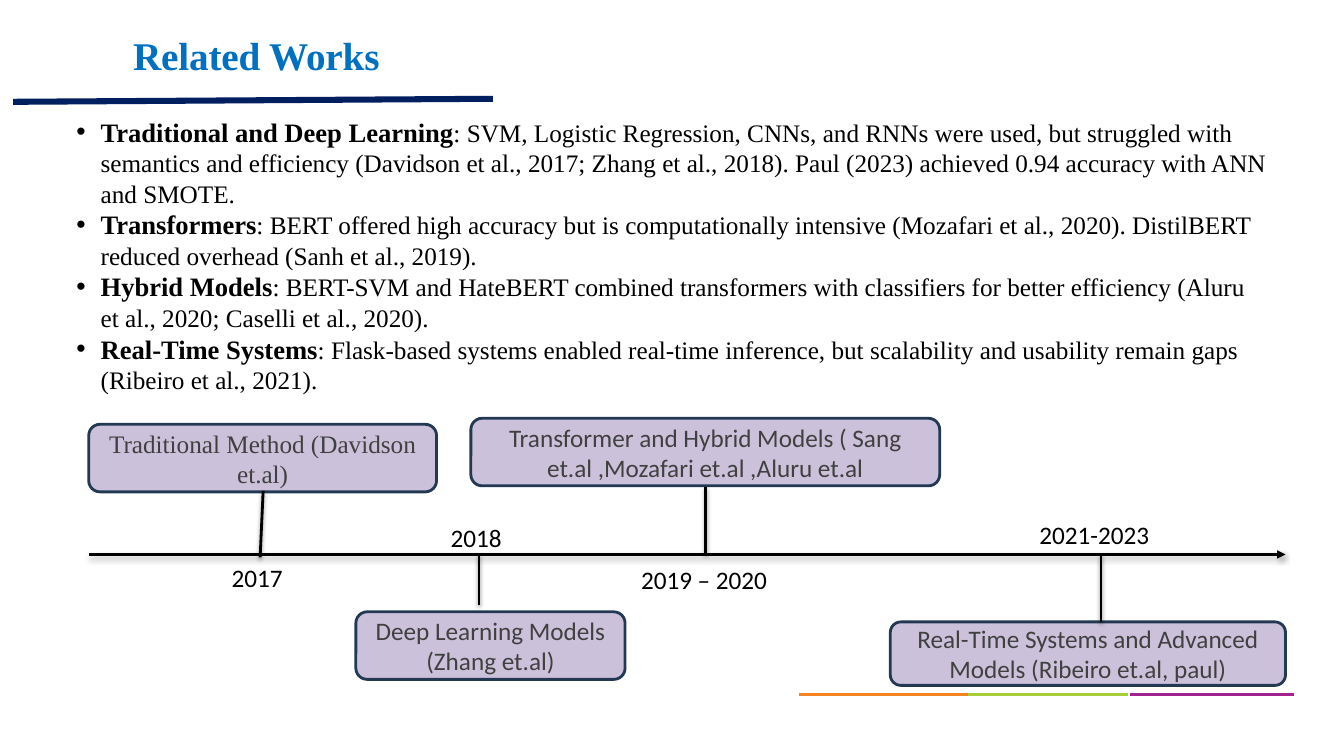
from lxml import etree
from pptx import Presentation
from pptx.dml.color import RGBColor
from pptx.enum.shapes import MSO_CONNECTOR, MSO_SHAPE
from pptx.enum.text import MSO_ANCHOR, PP_ALIGN
from pptx.oxml.ns import qn
from pptx.util import Inches, Pt

STRAIGHT = MSO_CONNECTOR.STRAIGHT
ROUNDED = MSO_SHAPE.ROUNDED_RECTANGLE
TOP, MIDDLE = MSO_ANCHOR.TOP, MSO_ANCHOR.MIDDLE
LEFT, CENTER = PP_ALIGN.LEFT, PP_ALIGN.CENTER
SERIF, SANS = "Times New Roman", "Calibri"

TITLE = "Related Works"
FINDINGS = [
    ("Traditional and Deep Learning",
     ": SVM, Logistic Regression, CNNs, and RNNs were used, but struggled with semantics and "
     "efficiency (Davidson et al., 2017; Zhang et al., 2018). Paul (2023) achieved 0.94 accuracy "
     "with ANN and SMOTE."),
    ("Transformers",
     ": BERT offered high accuracy but is computationally intensive (Mozafari et al., 2020). "
     "DistilBERT reduced overhead (Sanh et al., 2019)."),
    ("Hybrid Models",
     ": BERT-SVM and HateBERT combined transformers with classifiers for better efficiency "
     "(Aluru et al., 2020; Caselli et al., 2020)."),
    ("Real-Time Systems",
     ": Flask-based systems enabled real-time inference, but scalability and usability remain "
     "gaps (Ribeiro et al., 2021)."),
]
AXIS_LEFT, AXIS_RIGHT, AXIS_Y = 0.88, 12.75, 5.5
MILESTONES = [
    {"text": "Traditional Method (Davidson et.al)", "font": SERIF,
     "box": (0.88, 4.21, 3.45, 0.67), "stem": (2.61, 4.87, 2.58, 5.53),
     "year": "2017", "year_box": (2.2, 5.53, 0.76, 0.4)},
    {"text": "Deep Learning Models (Zhang et.al)", "font": SANS,
     "box": (3.53, 6.07, 2.67, 0.67), "stem": (4.75, AXIS_Y, 4.75, 6),
     "year": "2018", "year_box": (4.37, 5.13, 0.76, 0.4)},
    {"text": "Real-Time Systems and Advanced Models (Ribeiro et.al, paul)", "font": SANS,
     "box": (8.83, 6.17, 3.92, 0.63), "stem": (10.92, AXIS_Y, 10.92, 6.17),
     "year": "2021-2023", "year_box": (10.21, 5.1, 1.41, 0.4)},
    {"text": "Transformer and Hybrid Models ( Sang et.al ,Mozafari et.al ,Aluru et.al", "font": SANS,
     "box": (4.67, 4.15, 4.65, 0.67), "stem": (7, 4.83, 7, AXIS_Y),
     "year": "2019 – 2020", "year_box": (6.26, 5.55, 1.6, 0.4)},
]
FOOTER_BARS = [(11.21, 1.62, "A3228F"), (9.51, 1.68, "A7CE39"), (7.92, 1.68, "F58220")]
FOOTER_TOP, FOOTER_BOTTOM = 6.88, 6.91
TITLE_RULE = [(0.13, 1.04), (0.13, 0.98), (4.89, 0.95), (4.89, 1.01)]

presentation = Presentation()
presentation.slide_width = Inches(13.33)
presentation.slide_height = Inches(7.5)
slide = presentation.slides.add_slide(presentation.slide_layouts[6])


def color(value):
    return RGBColor.from_string(value)


def add_run(paragraph, text, size=18, font=SANS, fill="000000", bold=False):
    run = paragraph.add_run()
    run.text = text
    run.font.size = Pt(size)
    run.font.name = font
    run.font.bold = bold
    run.font.color.rgb = color(fill)
    return run


def add_text_box(box, wrap=True, margin=None):
    frame = slide.shapes.add_textbox(*map(Inches, box)).text_frame
    frame.word_wrap = wrap
    frame.vertical_anchor = TOP
    if margin is not None:
        frame.margin_left = frame.margin_right = Inches(margin)
        frame.margin_top = frame.margin_bottom = Inches(margin)
    return frame


def add_polygon(points, fill):
    corners = [(Inches(x), Inches(y)) for x, y in points]
    builder = slide.shapes.build_freeform(*corners[0])
    builder.add_line_segments(corners[1:], close=True)
    shape = builder.convert_to_shape()
    shape.shadow.inherit = False
    shape.fill.solid()
    shape.fill.fore_color.rgb = color(fill)
    shape.line.fill.background()


def add_line(ends, arrow=False):
    line = slide.shapes.add_connector(STRAIGHT, *map(Inches, ends))
    line.line.color.rgb = color("000000")
    line.line.width = Pt(2)
    properties = line._element.spPr
    if arrow:
        etree.SubElement(properties.find(qn("a:ln")), qn("a:tailEnd"), type="triangle")
    effects = etree.SubElement(properties, qn("a:effectLst"))
    shadow = etree.SubElement(effects, qn("a:outerShdw"), blurRad=str(Pt(3.1)),
                              dist=str(Pt(1.6)), dir="5400000", rotWithShape="0")
    shade = etree.SubElement(shadow, qn("a:srgbClr"), val="000000")
    etree.SubElement(shade, qn("a:alpha"), val="38000")


def add_bullet(paragraph, indent):
    properties = paragraph._p.get_or_add_pPr()
    properties.set("marL", str(Inches(indent)))
    properties.set("indent", str(-Inches(indent)))
    etree.SubElement(properties, qn("a:buFont"), typeface="Arial")
    etree.SubElement(properties, qn("a:buChar"), char="•")


def add_milestone_box(text, box, font):
    shape = slide.shapes.add_shape(ROUNDED, *map(Inches, box))
    shape.shadow.inherit = False
    shape.fill.solid()
    shape.fill.fore_color.rgb = color("CCC1DA")
    shape.line.color.rgb = color("233953")
    shape.line.width = Pt(2)
    frame = shape.text_frame
    frame.word_wrap = True
    frame.vertical_anchor = MIDDLE
    paragraph = frame.paragraphs[0]
    paragraph.alignment = CENTER
    add_run(paragraph, text, font=font, fill="404040")


for left, width, fill in FOOTER_BARS:
    right = left + width
    add_polygon([(right, FOOTER_BOTTOM), (left, FOOTER_BOTTOM),
                 (left, FOOTER_TOP), (right, FOOTER_TOP)], fill)
add_polygon(TITLE_RULE, "001F5F")

title_frame = add_text_box((1.32, 0.31, 9.75, 0.94), margin=0)
title_run = add_run(title_frame.paragraphs[0], TITLE, size=28, font=SERIF, fill="0070C0", bold=True)
title_run.font._element.set("spc", "-10")

findings_frame = add_text_box((0.66, 1.1, 12.01, 3.2))
for index, (topic, finding) in enumerate(FINDINGS):
    paragraph = findings_frame.add_paragraph() if index else findings_frame.paragraphs[0]
    paragraph.alignment = LEFT
    add_bullet(paragraph, 0.24)
    add_run(paragraph, topic, size=19, font=SERIF, bold=True)
    add_run(paragraph, finding, font=SERIF)

add_line((AXIS_LEFT, AXIS_Y, AXIS_RIGHT, AXIS_Y), arrow=True)
for milestone in MILESTONES:
    add_milestone_box(milestone["text"], milestone["box"], milestone["font"])
for milestone in MILESTONES:
    add_line(milestone["stem"])
    year_frame = add_text_box(milestone["year_box"], wrap=False)
    add_run(year_frame.paragraphs[0], milestone["year"])

presentation.save("out.pptx")
